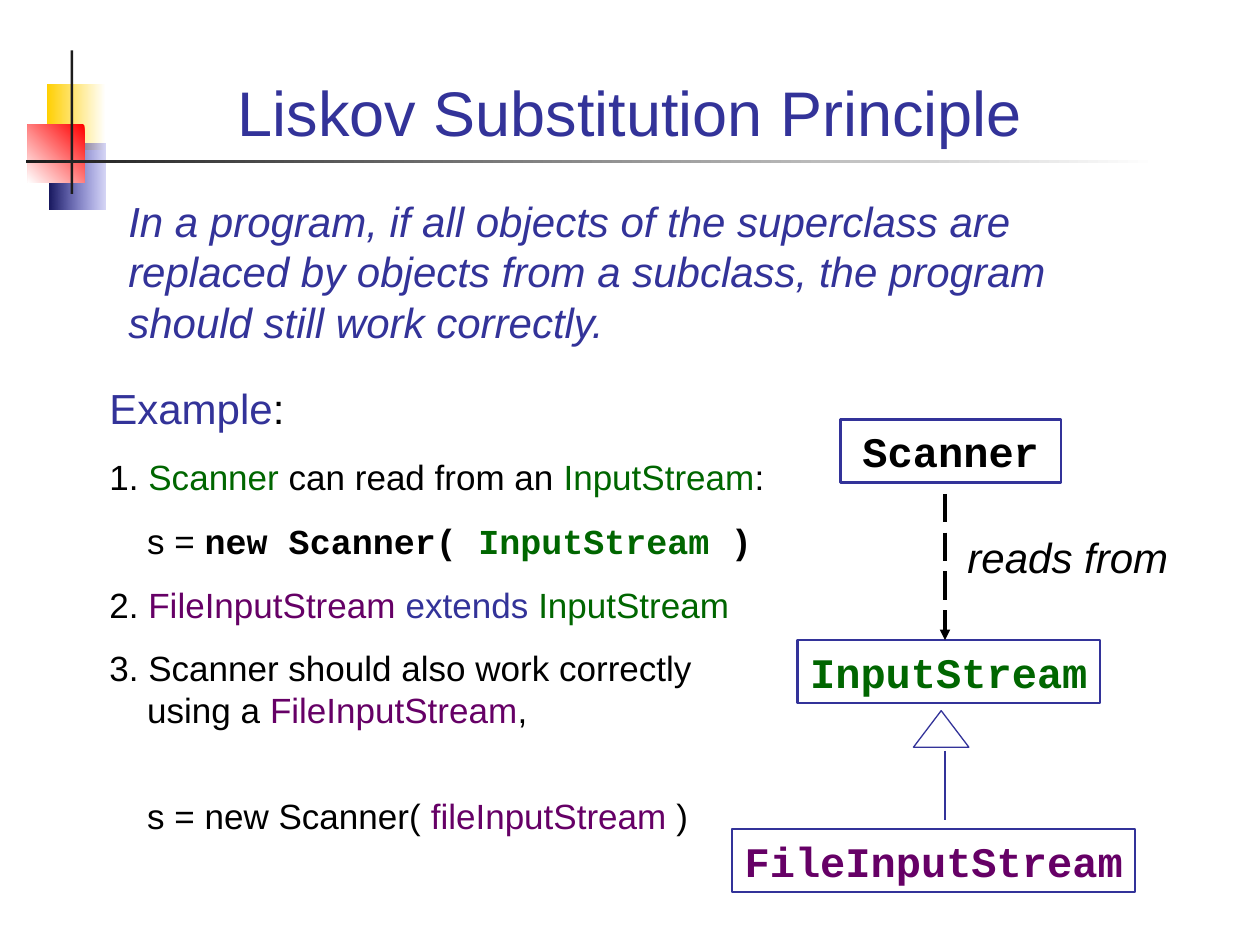
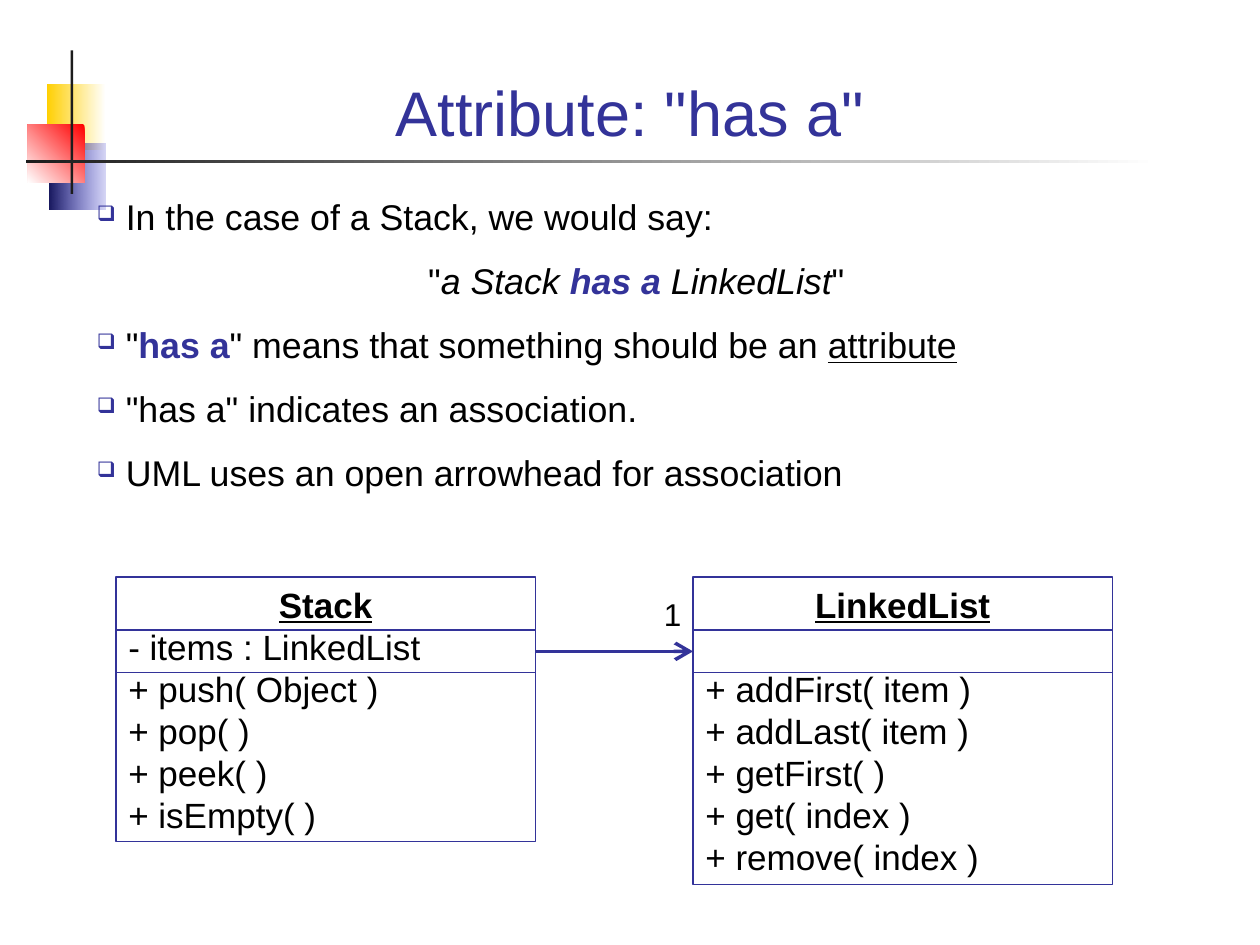
import lxml.etree
import pptx
import pptx.dml.color
import pptx.enum.dml
import pptx.enum.shapes
import pptx.enum.text
import pptx.oxml.ns
import pptx.util

Inches = pptx.util.Inches
Pt = pptx.util.Pt
qn = pptx.oxml.ns.qn
ALIGN = pptx.enum.text.PP_ALIGN
SHAPE = pptx.enum.shapes.MSO_SHAPE

COLORS = {
    "black": "000000", "white": "FFFFFF", "indigo": "333399", "green": "006600",
    "purple": "660066", "yellow": "FFCF01", "red": "FF0000", "navy": "17175E",
    "blue": "3333CC", "charcoal": "1C1C1C",
}
STYLES = {
    "plain": {},
    "indigo": {"color": "indigo"},
    "green": {"color": "green"},
    "purple": {"color": "purple"},
    "italic": {"italic": True},
    "principle": {"color": "indigo", "italic": True},
    "code": {"name": "Courier New", "bold": True},
    "code green": {"name": "Courier New", "bold": True, "color": "green"},
    "code purple": {"name": "Courier New", "bold": True, "color": "purple"},
    "has a": {"color": "indigo", "bold": True},
    "has a italic": {"color": "indigo", "bold": True, "italic": True},
    "underline": {"underline": True},
    "class name": {"bold": True, "underline": True},
}
BODY_BOX = (0.67, 1.5, 8.66, 2.42)


def rgb(name):
    """Return the named colour."""
    return pptx.dml.color.RGBColor.from_string(COLORS[name])


def lengths(box):
    """Convert a box in inches to lengths."""
    return [Inches(value) for value in box]


def line(runs, size=20, before=0, indent=(0, 0), align=ALIGN.LEFT, bullet=False):
    """Describe one paragraph; a plain string stands for one plain run."""
    runs = [(runs, "plain")] if isinstance(runs, str) else runs
    return {"runs": runs, "size": size, "before": before, "indent": indent,
            "align": align, "bullet": bullet}


def add_bullet(properties):
    """Add a hollow square bullet to paragraph properties."""
    color = lxml.etree.SubElement(properties, qn("a:buClr"))
    lxml.etree.SubElement(color, qn("a:srgbClr"), val=COLORS["indigo"])
    lxml.etree.SubElement(properties, qn("a:buSzPct"), val="60000")
    lxml.etree.SubElement(properties, qn("a:buChar"), char="❑")


def write_text(shape, lines, wrap=True, anchor="TOP"):
    """Fill a shape with described paragraphs."""
    frame = shape.text_frame
    settings = {
        "word_wrap": wrap, "auto_size": pptx.enum.text.MSO_AUTO_SIZE.NONE,
        "vertical_anchor": pptx.enum.text.MSO_ANCHOR[anchor],
        "margin_left": Inches(0.1), "margin_right": Inches(0.1),
        "margin_top": Inches(0.05), "margin_bottom": Inches(0.05),
    }
    for key, value in settings.items():
        setattr(frame, key, value)
    for index, item in enumerate(lines):
        paragraph = frame.add_paragraph() if index else frame.paragraphs[0]
        paragraph.alignment = item["align"]
        paragraph.space_before = Pt(item["before"])
        properties = paragraph._p.get_or_add_pPr()
        for key, value in zip(("marL", "indent"), item["indent"]):
            properties.set(key, str(Inches(value)))
        if item["bullet"]:
            add_bullet(properties)
        for text, style in item["runs"]:
            run = paragraph.add_run()
            run.text = text
            font_values = {"name": "Arial", "size": Pt(item["size"]), **STYLES[style]}
            run.font.color.rgb = rgb(font_values.pop("color", "black"))
            for key, value in font_values.items():
                setattr(run.font, key, value)


def add_text(slide, box, lines, **settings):
    """Add a text box."""
    write_text(slide.shapes.add_textbox(*lengths(box)), lines, **settings)


def add_shape(slide, kind, box, fill=None, outline=None, width=0.75):
    """Add a preset shape without a shadow."""
    shape = slide.shapes.add_shape(kind, *lengths(box))
    shape.shadow.inherit = False
    if fill:
        shape.fill.solid()
        shape.fill.fore_color.rgb = rgb(fill)
    else:
        shape.fill.background()
    if outline:
        shape.line.color.rgb = rgb(outline)
        shape.line.width = Pt(width)
    else:
        shape.line.fill.background()
    return shape


def add_line(slide, start, end, color="indigo", width=0.75, arrow=None, dash=None):
    """Add a straight line with an optional arrowhead and dash."""
    connector = slide.shapes.add_connector(
        pptx.enum.shapes.MSO_CONNECTOR.STRAIGHT, *lengths(start + end))
    connector.line.color.rgb = rgb(color)
    connector.line.width = Pt(width)
    if dash:
        connector.line.dash_style = dash
    if arrow:
        lxml.etree.SubElement(connector.line._get_or_add_ln(), qn("a:tailEnd"), arrow)
    lxml.etree.SubElement(connector._element.spPr, qn("a:effectLst"))


def add_gradient(slide, box, colors, angle=180, start_alpha=None):
    """Add a rectangle filled with a two-colour gradient."""
    shape = add_shape(slide, SHAPE.RECTANGLE, box)
    shape.fill.gradient()
    shape.fill.gradient_angle = angle
    for stop, position, color in zip(shape.fill.gradient_stops, (0, 1), colors):
        stop.position = position
        stop.color.rgb = rgb(color)
    if start_alpha:
        first_color = next(shape._element.spPr.iter(qn("a:srgbClr")))
        lxml.etree.SubElement(first_color, qn("a:alpha"), val=str(start_alpha * 1000))


def add_titled_slide(presentation, title):
    """Add a blank slide with the corner ornament and a title."""
    slide = presentation.slides.add_slide(presentation.slide_layouts[6])
    add_gradient(slide, (0.37, 0.67, 0.47, 0.52), ("white", "yellow"))
    add_gradient(slide, (0.39, 1.14, 0.45, 0.52), ("blue", "navy"), start_alpha=20)
    add_gradient(slide, (0.22, 0.99, 0.45, 0.46), ("red", "white"), angle=225)
    add_shape(slide, SHAPE.RECTANGLE, (0.56, 0.4, 0.02, 1.14), fill="charcoal")
    add_gradient(slide, (0.21, 1.27, 8.98, 0.02), ("white", "charcoal"))
    add_text(slide, (0.67, 0.28, 8.66, 0.95),
             [line([(title, "indigo")], size=36, align=ALIGN.CENTER)], anchor="BOTTOM")
    return slide


def add_class_label(slide, box, name, style):
    """Add a framed class name."""
    shape = add_shape(slide, SHAPE.RECTANGLE, box, outline="indigo", width=1.5)
    write_text(shape, [line([(name, style)], size=24, align=ALIGN.CENTER)],
               wrap=False, anchor="MIDDLE")


def add_stream_diagram(slide, left, top):
    """Draw the scanner and stream classes with their relations."""
    axis = left + 1.69
    add_class_label(slide, (left + 0.86, top, 1.75, 0.5), "Scanner", "code")
    add_class_label(slide, (left + 0.52, top + 1.75, 2.4, 0.5), "InputStream", "code green")
    add_class_label(slide, (left, top + 3.25, 3.2, 0.5), "FileInputStream", "code purple")
    add_line(slide, (axis, top + 0.59), (axis, top + 1.75), color="black", width=2,
             arrow={"type": "triangle"}, dash=pptx.enum.dml.MSO_LINE.LONG_DASH)
    add_text(slide, (axis + 0.08, top + 0.84, 1.79, 0.5),
             [line([("reads from", "italic")], size=24)], wrap=False)
    add_shape(slide, SHAPE.ISOSCELES_TRIANGLE, (axis - 0.25, top + 2.31, 0.44, 0.29),
              fill="white", outline="indigo")
    add_line(slide, (axis, top + 2.63), (axis, top + 3.18))


def add_class_box(slide, left, top, name, attributes, methods):
    """Draw a class with name, attribute and method compartments."""
    width, row = 3.33, 0.34
    height = 0.06 + row * (2 + len(methods))
    shape = add_shape(slide, SHAPE.RECTANGLE, (left, top, width, height), outline="indigo")
    first_gap = 0 if attributes else 24
    write_text(shape, [
        line([(name, "class name")], align=ALIGN.CENTER),
        *[line(attribute) for attribute in attributes],
        *[line(method, before=0 if index else first_gap)
          for index, method in enumerate(methods)],
    ])
    for offset in (0.42, 0.76):
        add_line(slide, (left, top + offset), (left + width, top + offset))


def build_substitution_slide(presentation):
    """Build the slide on the substitution principle."""
    slide = add_titled_slide(presentation, "Liskov Substitution Principle")
    principle = ("In a program, if all objects of the superclass are replaced by objects "
                 "from a subclass, the program should still work correctly.")
    add_text(slide, BODY_BOX, [line([(principle, "principle")], size=24, indent=(0.25, 0))])
    step = {"before": 12.5, "indent": (0.32, -0.3)}
    add_text(slide, (0.75, 2.99, 5.5, 3.71), [
        line([("Example", "indigo"), (":", "plain")], size=24, indent=(0.32, -0.3)),
        line([("1. ", "plain"), ("Scanner", "green"), (" can read from an ", "plain"),
              ("InputStream", "green"), (":", "plain")], **step),
        line([("s = ", "plain"), ("new Scanner( ", "code"), ("InputStream", "code green"),
              (" )", "code")], before=12.5, indent=(0.32, 0)),
        line([("2. ", "plain"), ("FileInputStream ", "purple"), ("extends ", "indigo"),
              ("InputStream", "green")], **step),
        line([("3. Scanner should also work correctly using a ", "plain"),
              ("FileInputStream", "purple"), (",", "plain")], **step),
        line([("s = new Scanner( ", "plain"), ("fileInputStream", "purple"),
              (" )", "plain")], before=36.5, indent=(0.32, 0)),
    ])
    add_stream_diagram(slide, 5.81, 3.33)


def build_attribute_slide(presentation):
    """Build the slide on attributes and association."""
    slide = add_titled_slide(presentation, 'Attribute: "has a"')
    point = {"size": 20.4, "indent": (0.23, -0.23), "bullet": True}
    add_text(slide, BODY_BOX, [
        line("In the case of a Stack, we would say:", **point),
        line([('"', "plain"), ("a Stack ", "italic"), ("has a", "has a italic"),
              (" LinkedList", "italic"), ('"', "plain")],
             size=20.4, before=12, indent=(0.25, -0.15), align=ALIGN.CENTER),
        line([('"', "plain"), ("has a", "has a"),
              ('" means that something should be an ', "plain"),
              ("attribute", "underline")], before=12, **point),
        line('"has a" indicates an association.', before=12, **point),
        line("UML uses an open arrowhead for association", before=12, **point),
    ])
    add_class_box(slide, 0.92, 4.58, "Stack", ["- items : LinkedList"],
                  ["+ push( Object )", "+ pop( )", "+ peek( )", "+ isEmpty( )"])
    add_class_box(slide, 5.5, 4.58, "LinkedList", [],
                  ["+ addFirst( item )", "+ addLast( item )", "+ getFirst( )",
                   "+ get( index )", "+ remove( index )"])
    add_line(slide, (4.25, 5.17), (5.5, 5.17), width=2,
             arrow={"type": "arrow", "w": "lg", "len": "lg"})
    add_text(slide, (5.17, 4.67, 0.33, 0.4), [line("1", size=18)])


def main():
    """Build and save the presentation."""
    presentation = pptx.Presentation()
    presentation.slide_width, presentation.slide_height = Inches(10), Inches(7.5)
    build_substitution_slide(presentation)
    build_attribute_slide(presentation)
    presentation.save("out.pptx")


if __name__ == "__main__":
    main()
